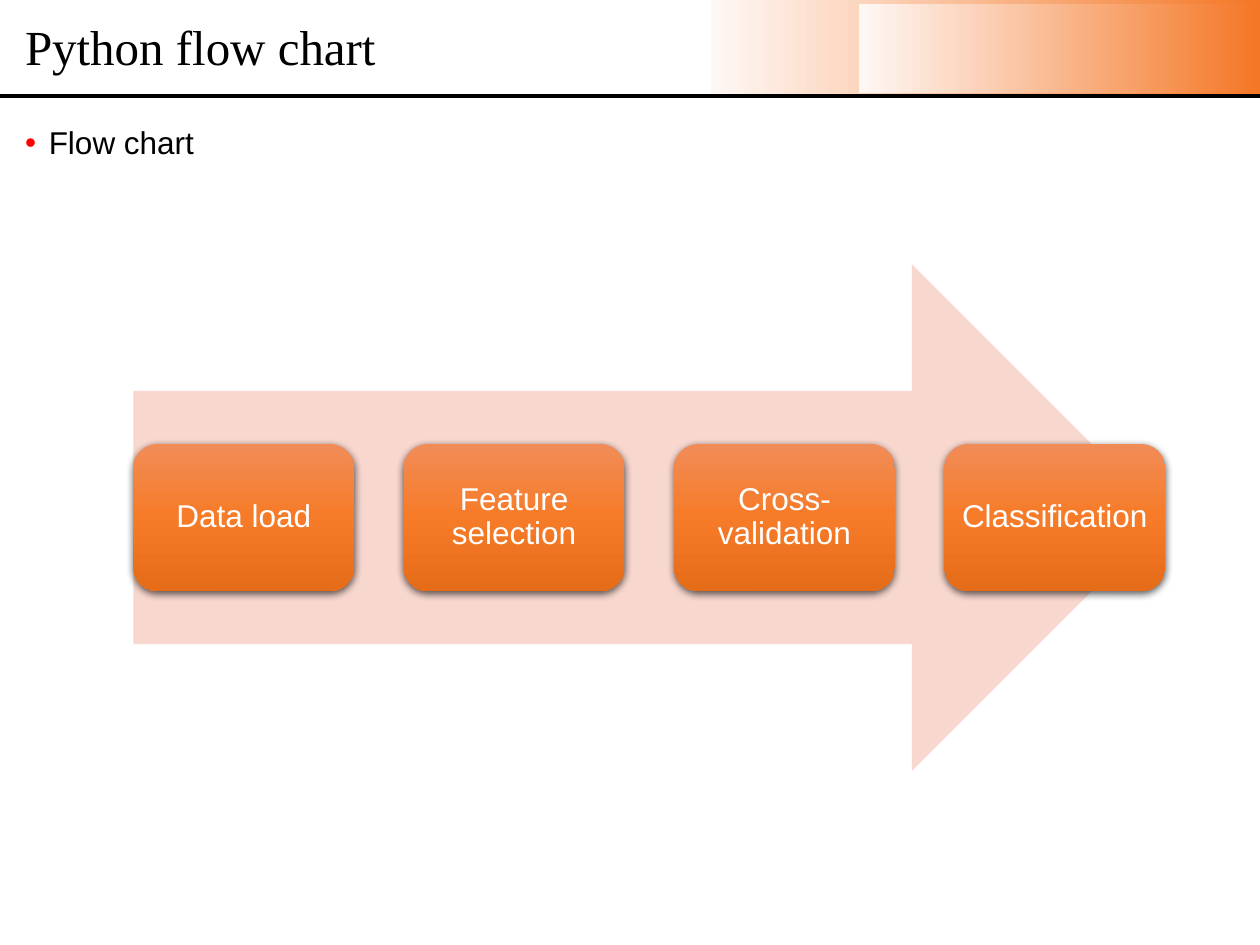
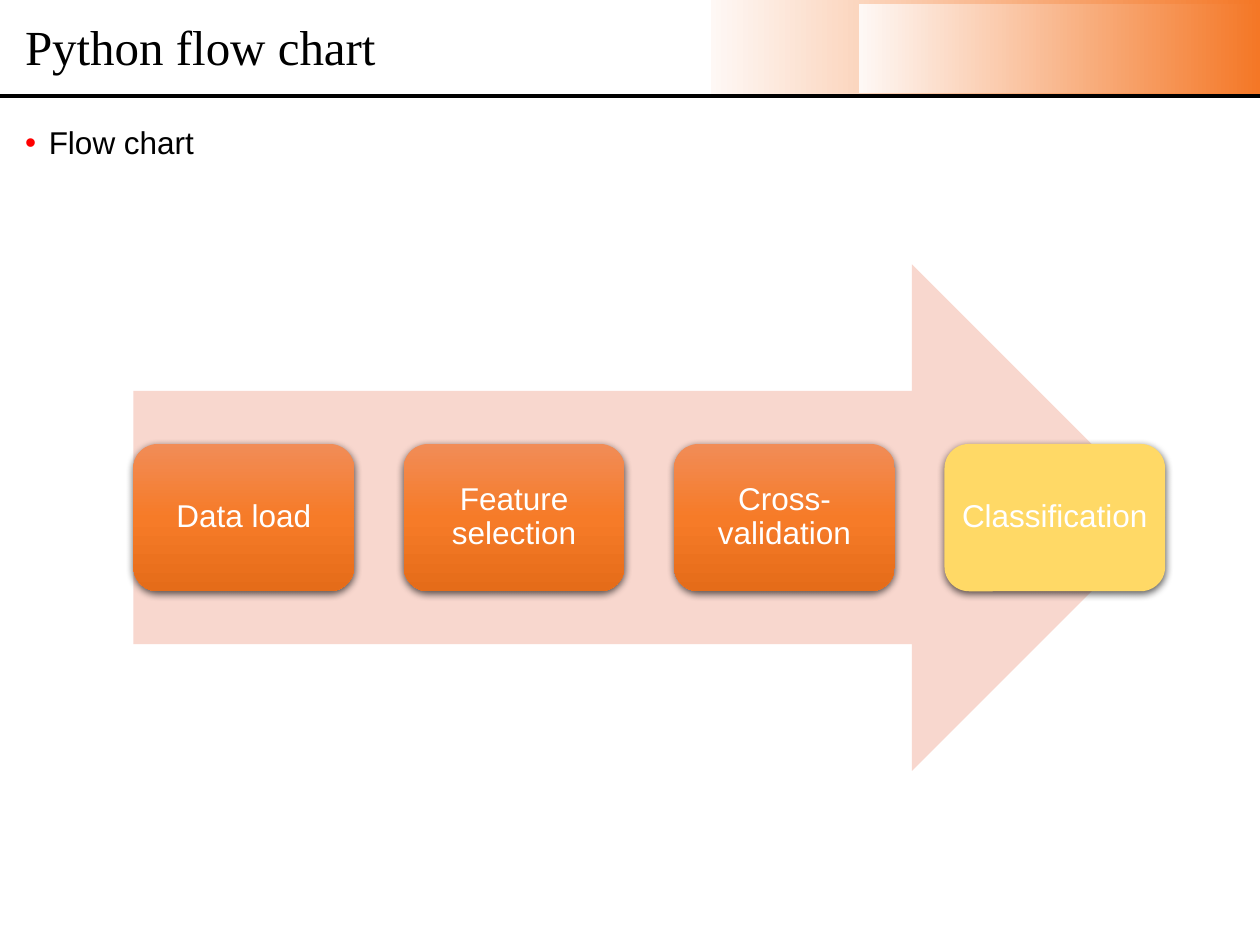
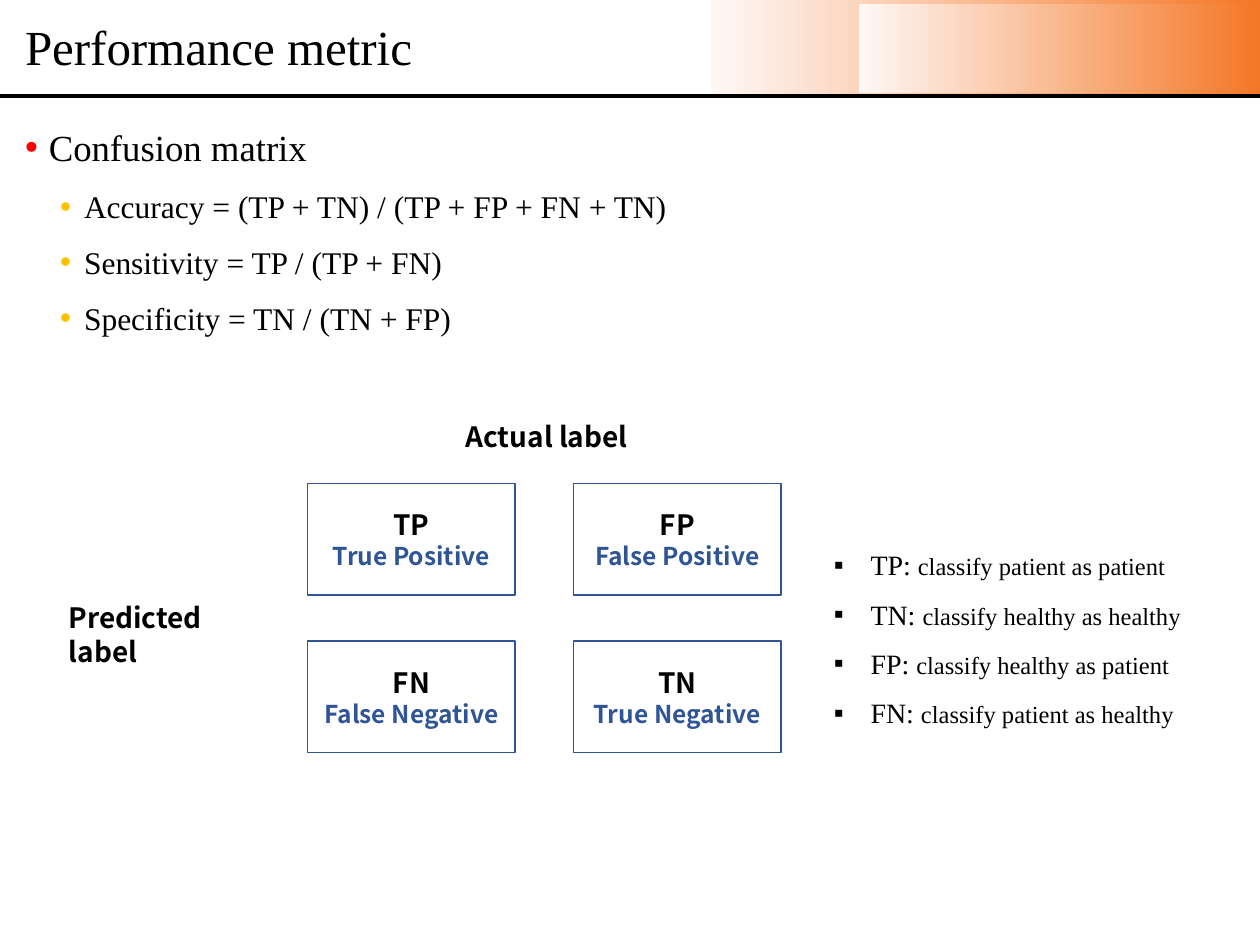
from lxml import etree
from pptx import Presentation
from pptx.dml.color import RGBColor as RGB
from pptx.enum.shapes import MSO_CONNECTOR as LINK, MSO_SHAPE as SHAPE
from pptx.enum.text import MSO_ANCHOR as ANCHOR, MSO_AUTO_SIZE as FIT, PP_ALIGN as ALIGN
from pptx.oxml.ns import qn
from pptx.util import Cm, Pt

# Colours and fonts
BLACK = RGB(0x00, 0x00, 0x00)
WHITE = RGB(0xFF, 0xFF, 0xFF)
RED = RGB(0xFF, 0x00, 0x00)
GOLD = RGB(0xFF, 0xC0, 0x00)
BLUE = RGB(0x2F, 0x55, 0x97)
PINK = RGB(0xF8, 0xD7, 0xCE)
YELLOW = RGB(0xFF, 0xD9, 0x66)
BAND = [(0, RGB(0xFE, 0xF8, 0xF5)), (100, RGB(0xF4, 0x77, 0x26))]
ORANGE = [(0, RGB(0xF1, 0x8C, 0x57)), (50, RGB(0xF6, 0x7B, 0x28)),
          (100, RGB(0xE5, 0x6C, 0x19))]
SANS, SERIF, NOTO = "Arial", "Times New Roman", "Noto Sans CJK KR"

# Content
FLOW = "Python flow chart"
STEPS = ["Data load", "Feature selection", "Cross-validation", "Classification"]
METRIC = "Performance metric"
RATES = [
    "Accuracy = (TP + TN) / (TP + FP + FN + TN)",
    "Sensitivity = TP / (TP + FN)",
    "Specificity = TN / (TN + FP)",
]
MATRIX = [
    [("TP", "True Positive"), ("FP", "False Positive")],
    [("FN", "False Negative"), ("TN", "True Negative")],
]
LABELS = [("Actual label", (9.14, 8.33, 3.94, 0.94)),
          ("Predicted label", (1.14, 11.99, 4.62, 0.91))]
TERMS = [
    ("TP: ", "classify patient as patient"),
    ("TN: ", "classify healthy as healthy"),
    ("FP: ", "classify healthy as patient"),
    ("FN: ", "classify patient as healthy"),
]

# Places in cm: left, top, width, height
WIDTH, HEIGHT = 25.4, 19.05
BANDS = [(14.33, 0, 11.07, 1.93), (17.32, 0.08, 8.08, 1.8)]
RULE = 1.93
TITLE = (0.25, 0.18, 21.9, 1.63)
BODY = (0.25, 2.13, 24.87, 15.27)
ARROW = (2.69, 5.33, 20.8, 10.21)
STEP = (4.45, 2.97)
CELL = (6.2, 9.75, 4.19, 2.24)
PITCH = (5.36, 3.18)
NOTES = (16.56, 10.72, 7.7, 4.45)


def place(shape, box):
    shape.left, shape.top, shape.width, shape.height = map(Cm, box)


def blend(shape, stops, angle):
    shape.fill.gradient()
    shape.fill.gradient_angle = angle
    group = shape.element.spPr.find(".//" + qn("a:gsLst"))
    group.clear()
    for pos, color in stops:
        stop = etree.SubElement(group, qn("a:gs"), pos=str(pos * 1000))
        etree.SubElement(stop, qn("a:srgbClr"), val=str(color))


def draw(slide, kind, box, fill, angle=0, line=None):
    shape = slide.shapes.add_shape(kind, *map(Cm, box))
    shape.shadow.inherit = False
    if isinstance(fill, list):
        blend(shape, fill, angle)
    else:
        shape.fill.solid()
        shape.fill.fore_color.rgb = fill
    if line is None:
        shape.line.fill.background()
    else:
        shape.line.color.rgb = line
        shape.line.width = Pt(1)
    return shape


def shade(shape):
    effects = shape.element.spPr.find(qn("a:effectLst"))
    outer = etree.SubElement(effects, qn("a:outerShdw"), blurRad=str(Pt(4.5)),
                             dist=str(Pt(1.5)), dir="5400000", rotWithShape="0")
    color = etree.SubElement(outer, qn("a:srgbClr"), val=str(BLACK))
    etree.SubElement(color, qn("a:alpha"), val="63000")


def write(para, text, size, font, color=BLACK, bold=False):
    run = para.add_run()
    run.text = text
    run.font.size, run.font.name, run.font.bold = Pt(size), font, bold
    run.font.color.rgb = color


def lines(frame, count):
    return [frame.paragraphs[0]] + [frame.add_paragraph() for _ in range(count - 1)]


def bullet(para, mark, color, left, hang, before):
    para.line_spacing = 1.3
    para.space_before = Pt(before)
    props = para._p.get_or_add_pPr()
    props.set("marL", str(Cm(left)))
    props.set("indent", str(-Cm(hang)))
    tint = etree.SubElement(props, qn("a:buClr"))
    etree.SubElement(tint, qn("a:srgbClr"), val=str(color))
    etree.SubElement(props, qn("a:buFont"), typeface=SANS)
    etree.SubElement(props, qn("a:buChar"), char=mark)


def header(slide, layout):
    """Build the bands and rule, then hand them to the shared layout."""
    parts = [draw(slide, SHAPE.RECTANGLE, box, BAND) for box in BANDS]
    rule = slide.shapes.add_connector(LINK.STRAIGHT, Cm(WIDTH), Cm(RULE), 0, Cm(RULE))
    rule.line.color.rgb = BLACK
    rule.line.width = Pt(2.25)
    etree.SubElement(rule._element.spPr, qn("a:effectLst"))
    tree = layout.placeholders[0].element.getparent()
    for spot, part in enumerate(parts + [rule], 2):
        tree.insert(spot, part._element)


def start(deck, layout, title, head, size, font, subs=()):
    """Add a slide with its title and bulleted body."""
    slide = deck.slides.add_slide(layout)
    frame = slide.shapes.title.text_frame
    frame.vertical_anchor = ANCHOR.MIDDLE
    para = frame.paragraphs[0]
    para.alignment, para.line_spacing = ALIGN.LEFT, 0.9
    write(para, title, 28, SERIF)

    frame = slide.placeholders[1].text_frame
    frame.auto_size = FIT.NONE
    first, *rest = lines(frame, 1 + len(subs))
    bullet(first, "•", RED, 0.48, 0.48, 7.5)
    write(first, head, size, font)
    for para, text in zip(rest, subs):
        para.level = 1
        bullet(para, "•", GOLD, 1.19, 0.48, 3.8)
        write(para, text, 18, font)
    return slide


def flow(slide, active=None):
    """Arrow with evenly spread steps; the active one is yellow."""
    draw(slide, SHAPE.RIGHT_ARROW, ARROW, PINK)
    left, top, width, height = ARROW
    wide, high = STEP
    pitch = (width - wide) / (len(STEPS) - 1)
    for i, text in enumerate(STEPS):
        box = (left + i * pitch, top + (height - high) / 2, wide, high)
        step = draw(slide, SHAPE.ROUNDED_RECTANGLE, box,
                    YELLOW if text == active else ORANGE, 270)
        shade(step)
        frame = step.text_frame
        frame.word_wrap, frame.vertical_anchor = True, ANCHOR.MIDDLE
        frame.margin_left = frame.margin_right = Cm(0.18)
        frame.margin_top = frame.margin_bottom = Cm(0.18)
        para = frame.paragraphs[0]
        para.alignment, para.line_spacing = ALIGN.CENTER, 0.9
        write(para, text, 18, SANS, WHITE)


def matrix(slide):
    left, top, wide, high = CELL
    for i, row in enumerate(MATRIX):
        for j, (code, name) in enumerate(row):
            box = (left + j * PITCH[0], top + i * PITCH[1], wide, high)
            frame = draw(slide, SHAPE.RECTANGLE, box, WHITE, line=BLUE).text_frame
            frame.word_wrap, frame.vertical_anchor = True, ANCHOR.MIDDLE
            upper, lower = lines(frame, 2)
            upper.alignment = lower.alignment = ALIGN.CENTER
            write(upper, code, 16, NOTO, bold=True)
            write(lower, name, 14, NOTO, BLUE, True)


def textbox(slide, box):
    frame = slide.shapes.add_textbox(*map(Cm, box)).text_frame
    frame.word_wrap = True
    return frame


def legend(slide):
    for text, box in LABELS:
        frame = textbox(slide, box)
        frame.auto_size = FIT.SHAPE_TO_FIT_TEXT
        write(frame.paragraphs[0], text, 16, NOTO, bold=True)
    frame = textbox(slide, NOTES)
    for para, (code, note) in zip(lines(frame, len(TERMS)), TERMS):
        para.alignment = ALIGN.JUSTIFY
        bullet(para, "▪", BLACK, 0.74, 0.74, 3.2)
        write(para, code, 16, SERIF)
        write(para, note, 14, SERIF)


def main():
    deck = Presentation()
    deck.slide_width, deck.slide_height = Cm(WIDTH), Cm(HEIGHT)

    # Shared layout: title and body places, no footers
    layout = deck.slide_layouts[1]
    title, body, *extra = layout.placeholders
    place(title, TITLE)
    place(body, BODY)
    for item in extra:
        item.element.getparent().remove(item.element)

    # Flow chart, plain and with the last step marked
    for active in (None, STEPS[-1]):
        slide = start(deck, layout, FLOW, "Flow chart", 18, SANS)
        if active is None:
            header(slide, layout)
        flow(slide, active)

    # Confusion matrix
    slide = start(deck, layout, METRIC, "Confusion matrix", 21, SERIF, RATES)
    matrix(slide)
    legend(slide)
    deck.save("out.pptx")


if __name__ == "__main__":
    main()
